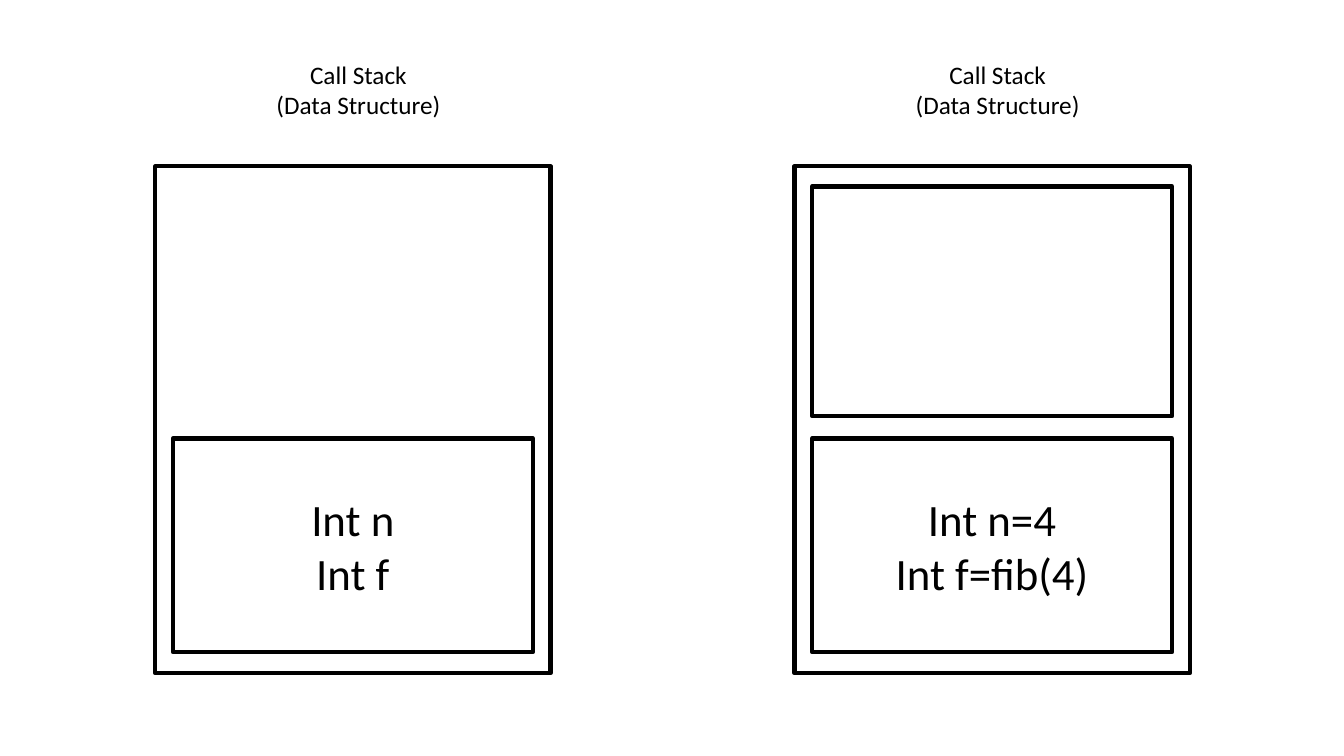
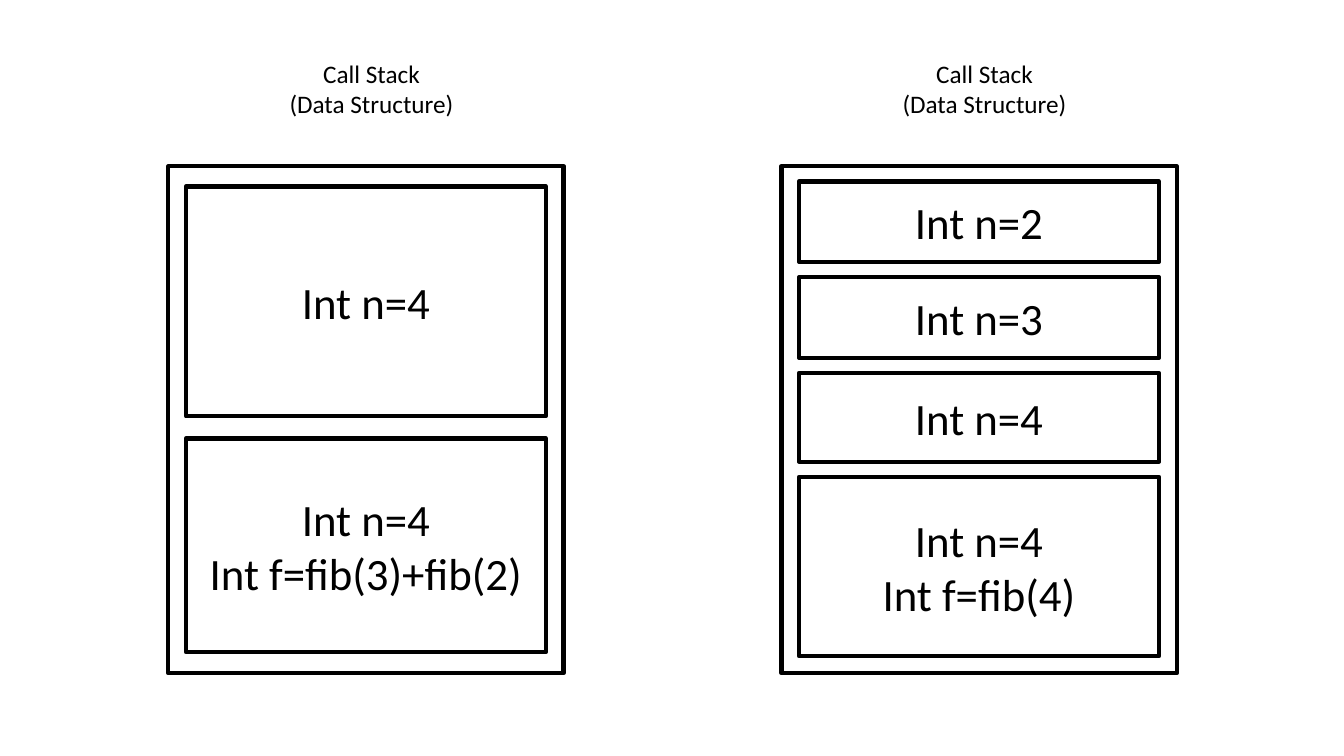
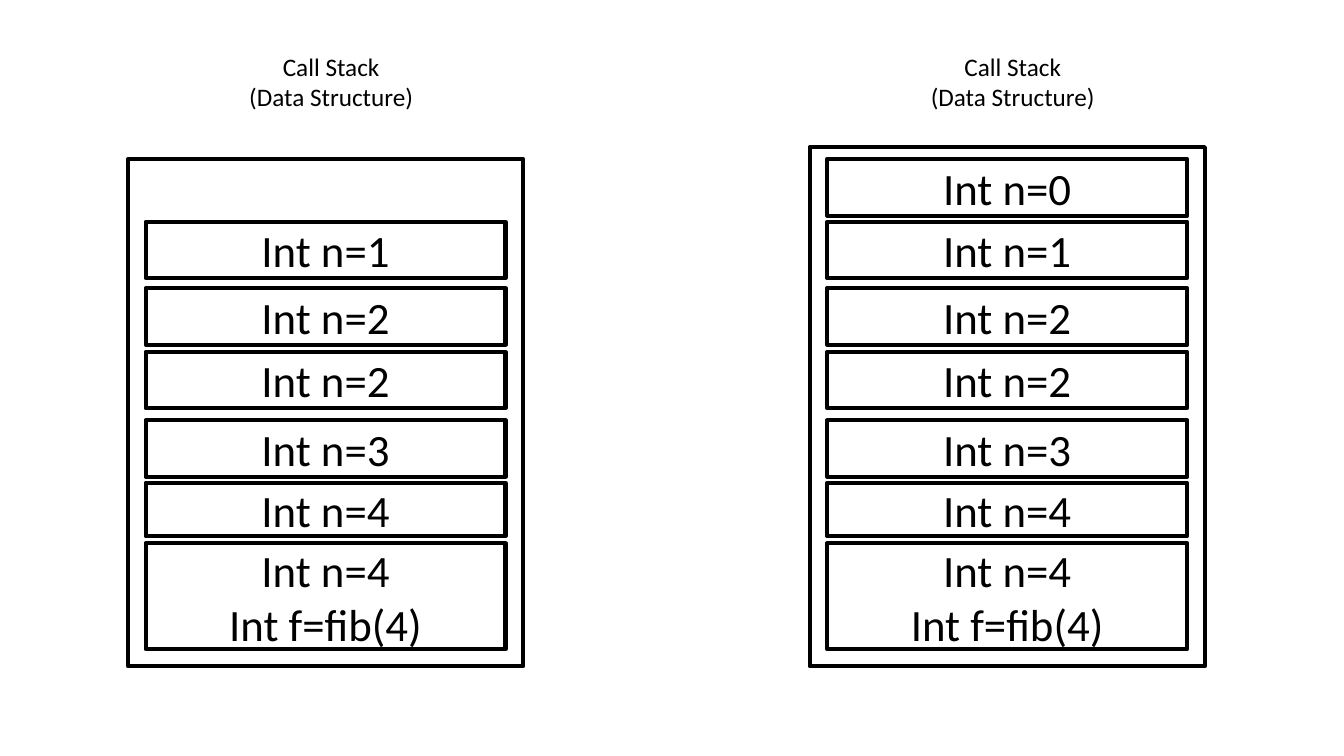
from dataclasses import dataclass

from pptx import Presentation
from pptx.dml.color import RGBColor
from pptx.enum.shapes import MSO_SHAPE as Shape
from pptx.enum.text import MSO_ANCHOR as Anchor, MSO_AUTO_SIZE as AutoSize, PP_ALIGN as Align
from pptx.util import Inches, Pt


@dataclass(frozen=True)
class Theme:
    ink: RGBColor = RGBColor(0x00, 0x00, 0x00)
    paper: RGBColor = RGBColor(0xFF, 0xFF, 0xFF)
    font: str = "Calibri"
    caption_size: int = 18
    frame_size: int = 32
    outline: int = 3


@dataclass(frozen=True)
class Frame:
    """A call frame: the gap beneath it, its height and its lines of text."""
    gap: float
    height: float
    lines: tuple = ()


@dataclass(frozen=True)
class Stack:
    """A call stack: its box and its frames from the bottom up."""
    left: float
    top: float
    height: float
    frames: tuple


THEME = Theme()
BLANK_LAYOUT = 6
CAPTION = ("Call Stack", "(Data Structure)")
CAPTION_WIDTH, CAPTION_HEIGHT = 4.03, 0.71
STACK_WIDTH, FRAME_WIDTH = 3.92, 3.57
FIB_4 = ("Int n=4", "Int f=fib(4)")

# Frames shared by both stacks of the last slide, from the bottom up
DEEP_CALLS = (
    Frame(0.17, 1.05, FIB_4),
    Frame(0.07, 0.53, ("Int n=4",)),
    Frame(0.06, 0.56, ("Int n=3",)),
    Frame(0.12, 0.56, ("Int n=2",)),
    Frame(0.07, 0.56, ("Int n=2",)),
    Frame(0.1, 0.56, ("Int n=1",)),
)

# Each slide: top of the captions, then its two stacks
SLIDES = (
    (0.54, (
        Stack(1.54, 1.65, 5.03, (Frame(0.21, 2.12, ("Int n", "Int f")),)),
        Stack(7.88, 1.65, 5.03, (Frame(0.21, 2.12, FIB_4), Frame(0.22, 2.28))),
    )),
    (0.53, (
        Stack(1.67, 1.65, 5.03, (
            Frame(0.21, 2.12, ("Int n=4", "Int f=fib(3)+fib(2)")),
            Frame(0.22, 2.28, ("Int n=4",)),
        )),
        Stack(7.75, 1.65, 5.03, (
            Frame(0.17, 1.78, FIB_4),
            Frame(0.15, 0.88, ("Int n=4",)),
            Frame(0.15, 0.8, ("Int n=3",)),
            Frame(0.15, 0.8, ("Int n=2",)),
        )),
    )),
    (0.46, (
        Stack(1.27, 1.58, 5.03, DEEP_CALLS),
        Stack(8.03, 1.46, 5.15, DEEP_CALLS + (Frame(0.06, 0.56, ("Int n=0",)),)),
    )),
)


def write_lines(text_frame, lines, size):
    """Write centred lines, one paragraph each."""
    text_frame.word_wrap = True
    for index, line in enumerate(lines):
        paragraph = text_frame.add_paragraph() if index else text_frame.paragraphs[0]
        paragraph.alignment = Align.CENTER
        run = paragraph.add_run()
        run.text = line
        run.font.name = THEME.font
        run.font.size = Pt(size)
        run.font.color.rgb = THEME.ink


def add_box(slide, left, top, width, height, lines=()):
    """Draw an outlined rectangle with its text in the middle."""
    box = slide.shapes.add_shape(
        Shape.RECTANGLE, Inches(left), Inches(top), Inches(width), Inches(height))
    box.shadow.inherit = False
    box.fill.solid()
    box.fill.fore_color.rgb = THEME.paper
    box.line.color.rgb = THEME.ink
    box.line.width = Pt(THEME.outline)
    box.text_frame.vertical_anchor = Anchor.MIDDLE
    write_lines(box.text_frame, lines, THEME.frame_size)


def add_caption(slide, left, top):
    caption = slide.shapes.add_textbox(
        Inches(left), Inches(top), Inches(CAPTION_WIDTH), Inches(CAPTION_HEIGHT))
    caption.text_frame.auto_size = AutoSize.SHAPE_TO_FIT_TEXT
    write_lines(caption.text_frame, CAPTION, THEME.caption_size)


def add_stack(slide, stack):
    """Draw the stack's box and pile its frames up from the bottom."""
    add_box(slide, stack.left, stack.top, STACK_WIDTH, stack.height)
    frame_left = stack.left + (STACK_WIDTH - FRAME_WIDTH) / 2
    level = stack.top + stack.height
    for frame in stack.frames:
        level -= frame.gap + frame.height
        add_box(slide, frame_left, level, FRAME_WIDTH, frame.height, frame.lines)


def add_stack_slide(deck, caption_top, stacks):
    slide = deck.slides.add_slide(deck.slide_layouts[BLANK_LAYOUT])
    for stack in stacks:
        add_caption(slide, stack.left, caption_top)
        add_stack(slide, stack)


def main():
    deck = Presentation()
    deck.slide_width, deck.slide_height = Inches(13.33), Inches(7.5)
    for caption_top, stacks in SLIDES:
        add_stack_slide(deck, caption_top, stacks)
    deck.save("out.pptx")


if __name__ == "__main__":
    main()
